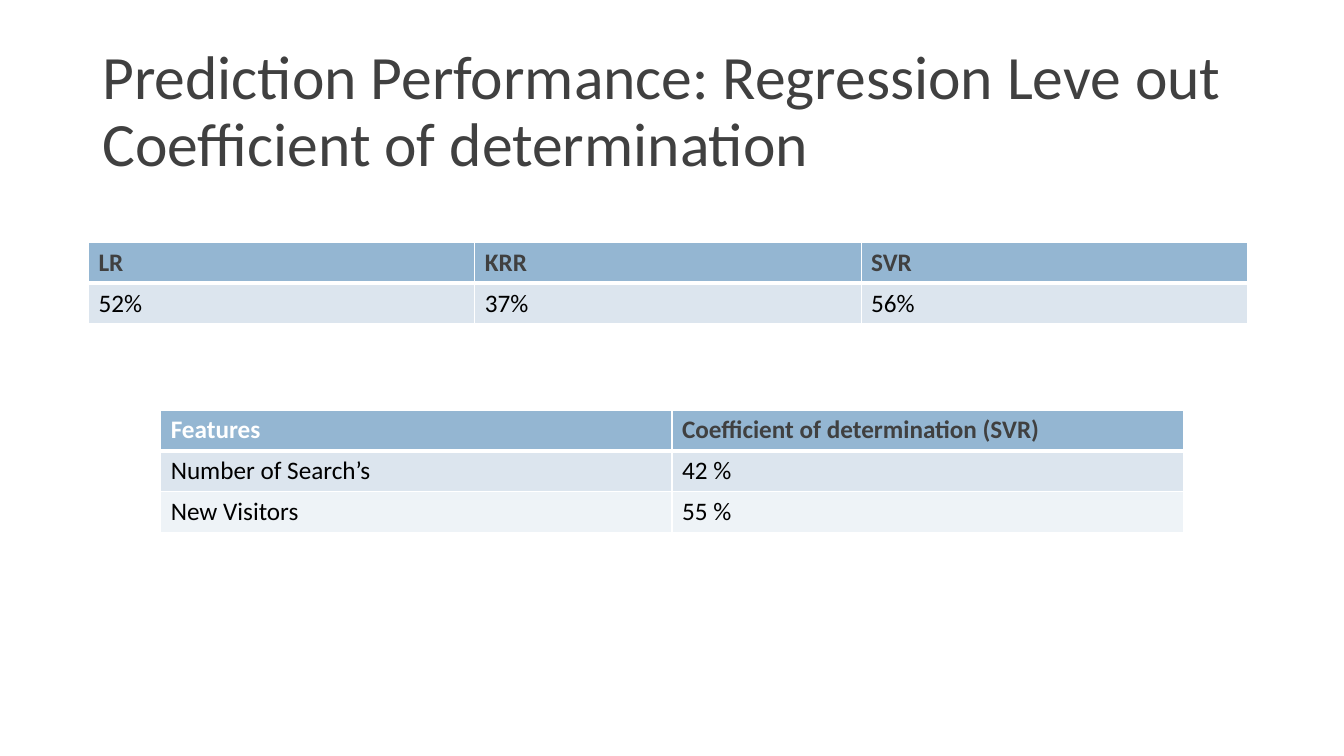
from dataclasses import dataclass

from pptx import Presentation
from pptx.dml.color import RGBColor as Rgb
from pptx.enum.text import MSO_ANCHOR as Anchor
from pptx.oxml.ns import qn
from pptx.slide import Slide
from pptx.table import _Cell as Cell
from pptx.text.text import _Paragraph as Para
from pptx.util import Cm, Pt
from lxml.etree import SubElement as Sub


@dataclass(frozen=True)
class Theme:
    font: str = "Calibri"
    title: int = 44
    body: int = 18
    dark: str = "404040"
    black: str = "000000"
    white: str = "FFFFFF"
    head: str = "94B6D2"
    bands: tuple[str, ...] = ("DCE5EE", "EEF3F7")
    thin: int = 1
    thick: int = 3


@dataclass(frozen=True)
class Grid:
    left: float
    top: float
    width: float
    rows: tuple[tuple[str, ...], ...]
    heads: tuple[str, ...]  # header text colours


THEME = Theme()
ROW = 1.03  # row height in cm

SCORES = Grid(2.23, 6.1, 29.21,
              (("LR", "KRR", "SVR"), ("52%", "37%", "56%")),
              (THEME.dark,) * 3)
FEATURES = Grid(4.05, 10.33, 25.77,
                (("Features", "Coefficient of determination (SVR)"),
                 ("Number of Search’s", "42 %"),
                 ("New Visitors", "55 %")),
                (THEME.white, THEME.dark))


def style(para: Para, size: int, color: str, bold: bool = False) -> None:
    for run in para.runs:
        font = run.font
        font.name, font.size, font.bold = THEME.font, Pt(size), bold
        font.color.rgb = Rgb.from_string(color)


def edge(cell: Cell, side: str, width: int) -> None:
    line = Sub(cell._tc.get_or_add_tcPr(), qn(f"a:ln{side}"), w=str(Pt(width)))
    Sub(Sub(line, qn("a:solidFill")), qn("a:srgbClr"), val=THEME.white)


def add_title(slide: Slide, text: str) -> None:
    box = slide.shapes.add_textbox(Cm(2.33), Cm(1.01), Cm(29.21), Cm(3.68))
    frame = box.text_frame
    frame.word_wrap = True
    frame.vertical_anchor = Anchor.MIDDLE
    frame.text = text
    para = frame.paragraphs[0]
    para.line_spacing = 0.9
    style(para, THEME.title, THEME.dark)


def add_grid(slide: Slide, grid: Grid) -> None:
    count = len(grid.rows)
    table = slide.shapes.add_table(
        count, len(grid.heads), Cm(grid.left), Cm(grid.top),
        Cm(grid.width), Cm(ROW * count)).table
    for r, row in enumerate(grid.rows):
        table.rows[r].height = Cm(ROW)
        for c, text in enumerate(row):
            cell = table.cell(r, c)
            cell.text = text
            head = r == 0
            style(cell.text_frame.paragraphs[0], THEME.body,
                  grid.heads[c] if head else THEME.black, head)
            # A thick rule parts the header from the body
            edge(cell, "L", THEME.thin)
            edge(cell, "R", THEME.thin)
            edge(cell, "T", THEME.thick if r == 1 else THEME.thin)
            edge(cell, "B", THEME.thick if head else THEME.thin)
            cell.fill.solid()
            fill = THEME.head if head else THEME.bands[(r - 1) % 2]
            cell.fill.fore_color.rgb = Rgb.from_string(fill)


def main() -> None:
    deck = Presentation()
    deck.slide_width, deck.slide_height = Cm(33.87), Cm(19.05)
    slide = deck.slides.add_slide(deck.slide_layouts[6])

    # Heading
    add_title(slide, "Prediction Performance: Regression Leve out "
                     "Coefficient of determination")

    # Model scores, then scores by feature
    for grid in (SCORES, FEATURES):
        add_grid(slide, grid)

    deck.save("out.pptx")


if __name__ == "__main__":
    main()
